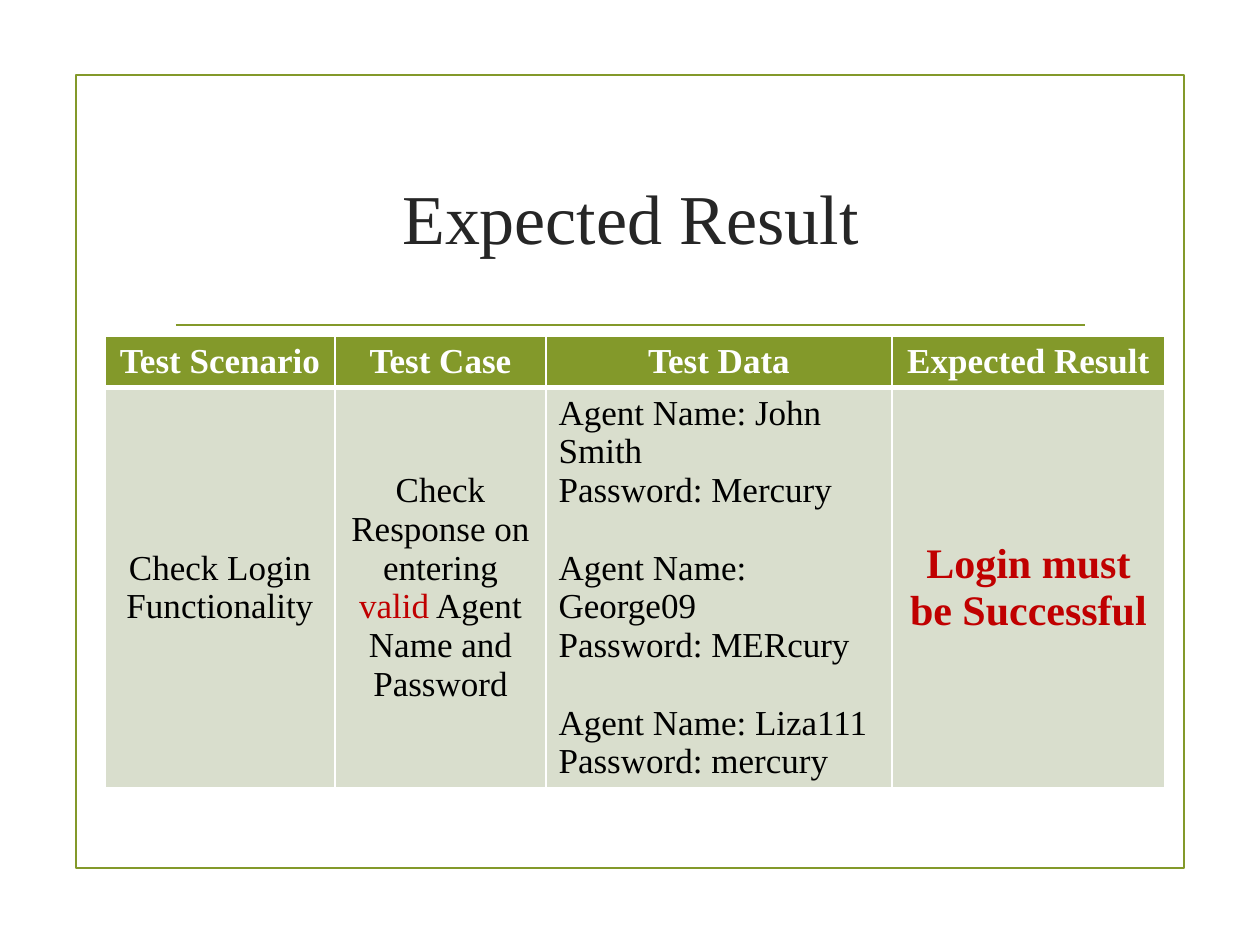
from lxml.etree import SubElement
from pptx import Presentation
from pptx.dml.color import RGBColor
from pptx.enum.shapes import MSO_CONNECTOR as CONN, MSO_SHAPE as SHAPE
from pptx.enum.text import MSO_ANCHOR as ANCHOR, PP_ALIGN as ALIGN
from pptx.oxml.ns import qn
from pptx.util import Emu, Pt

EMU_PER_PX = 914400 / 126
FONT = "Times New Roman"
COLORS = {
    "green": "83992A",
    "pale": "D9DECD",
    "title": "262626",
    "black": "000000",
    "white": "FFFFFF",
    "red": "C00000",
}
COL_WIDTHS = (230, 211, 346, 273)
ROW_HEIGHTS = (51, 400)
HEADERS = ("Test Scenario", "Test Case", "Test Data", "Expected Result")
LOGINS = (
    ("Agent Name: John Smith", "Password: Mercury"),
    ("Agent Name: George09", "Password: MERcury"),
    ("Agent Name: Liza111", "Password: mercury"),
)


def px(n):
    return Emu(round(n * EMU_PER_PX))


def rgb(name):
    return RGBColor.from_string(COLORS[name])


def add_run(p, text, color="black", size=20, bold=False):
    r = p.add_run()
    r.text = text
    r.font.name = FONT
    r.font.size = Pt(size)
    r.font.bold = bold
    r.font.color.rgb = rgb(color)


def style_line(line):
    line.color.rgb = rgb("green")
    line.width = Pt(1.25)


def add_frame(slide):
    sp = slide.shapes.add_shape(SHAPE.RECTANGLE, px(76), px(75), px(1108), px(793))
    sp.shadow.inherit = False
    sp.fill.background()
    style_line(sp.line)


def add_rule(slide):
    rule = slide.shapes.add_connector(CONN.STRAIGHT, px(176), px(325), px(1085), px(325))
    style_line(rule.line)
    SubElement(rule._element.spPr, qn("a:effectLst"))


def set_title(slide, text):
    title = slide.shapes.title
    title.left, title.top, title.width, title.height = px(162), px(126), px(937), px(180)
    tf = title.text_frame
    tf.vertical_anchor = ANCHOR.MIDDLE
    p = tf.paragraphs[0]
    p.alignment = ALIGN.CENTER
    add_run(p, text, "title", 40)


def set_borders(cell, **widths):
    """Draw white cell borders, before the fill is set, as the schema orders."""
    tc_pr = cell._tc.get_or_add_tcPr()
    for side in ("L", "R", "T", "B"):
        ln = SubElement(tc_pr, qn(f"a:ln{side}"), w=str(Pt(widths.get(side, 1))))
        fill = SubElement(ln, qn("a:solidFill"))
        SubElement(fill, qn("a:srgbClr"), val=COLORS["white"])


def style_cell(cell, fill, **widths):
    set_borders(cell, **widths)
    cell.fill.solid()
    cell.fill.fore_color.rgb = rgb(fill)


def fill_centred(cell, *runs):
    cell.vertical_anchor = ANCHOR.MIDDLE
    p = cell.text_frame.paragraphs[0]
    p.alignment = ALIGN.CENTER
    for text, *style in runs:
        add_run(p, text, *style)


def fill_logins(cell):
    """List each login on two lines, one line's height apart from the next."""
    tf = cell.text_frame
    for i, login in enumerate(LOGINS):
        for j, text in enumerate(login):
            p = tf.paragraphs[0] if i == j == 0 else tf.add_paragraph()
            p.alignment = ALIGN.LEFT
            if i and j == 0:
                p.space_before = Pt(22)
            add_run(p, text)


def add_test_table(slide):
    table = slide.shapes.add_table(
        len(ROW_HEIGHTS), len(COL_WIDTHS), px(105), px(336),
        px(sum(COL_WIDTHS)), px(sum(ROW_HEIGHTS))).table
    for col, width in zip(table.columns, COL_WIDTHS):
        col.width = px(width)
    for row, height in zip(table.rows, ROW_HEIGHTS):
        row.height = px(height)

    for c, header in enumerate(HEADERS):
        style_cell(table.cell(0, c), "green", B=3)
        style_cell(table.cell(1, c), "pale", T=3)
        fill_centred(table.cell(0, c), (header, "white", 20, True))

    scenario, case, data, result = table.rows[1].cells
    fill_centred(scenario, ("Check Login Functionality",))
    fill_centred(case, ("Check Response on entering ",), ("valid", "red"),
                 (" Agent Name and Password",))
    fill_logins(data)
    fill_centred(result, ("Login must be Successful", "red", 24, True))


def main():
    prs = Presentation()
    prs.slide_width, prs.slide_height = px(1260), px(945)
    slide = prs.slides.add_slide(prs.slide_layouts[5])
    add_frame(slide)
    add_rule(slide)
    set_title(slide, "Expected Result")
    add_test_table(slide)
    prs.save("out.pptx")


if __name__ == "__main__":
    main()
